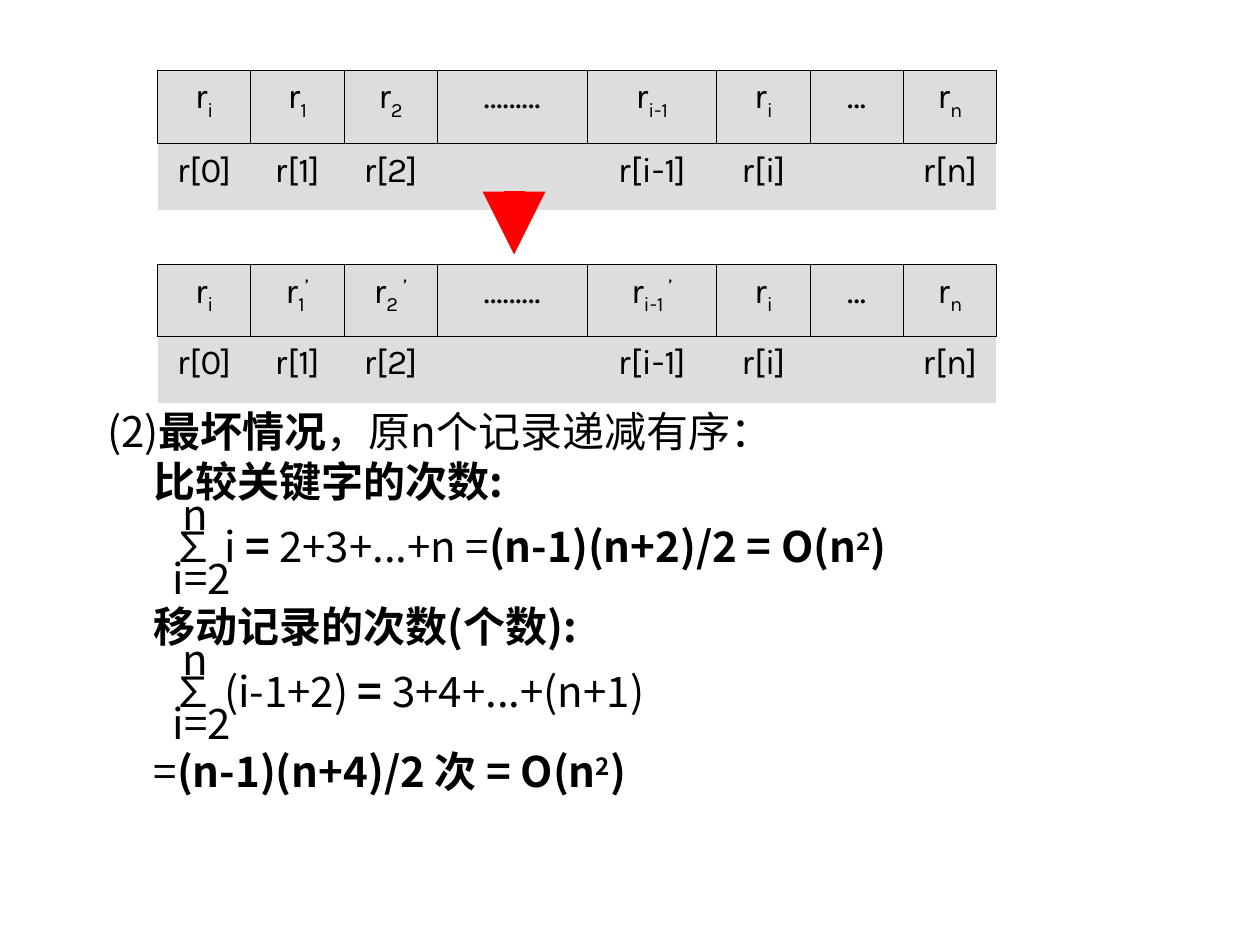
from dataclasses import dataclass

from lxml.etree import SubElement
from pptx import Presentation
from pptx.dml.color import RGBColor
from pptx.enum.shapes import MSO_CONNECTOR as Connector
from pptx.enum.text import MSO_ANCHOR as Anchor, MSO_AUTO_SIZE as AutoSize, PP_ALIGN as Align
from pptx.oxml.ns import qn
from pptx.util import Inches, Pt


@dataclass(frozen=True)
class Theme:
    ink: str = "000000"
    cell: str = "DDDDDD"
    arrow: str = "FF0000"
    body_font: str = "Noto Sans CJK SC"
    table_font: str = "Karla"
    body_size: int = 24
    table_size: int = 20
    thin: float = 0.45
    thick: float = 1.08
    plain_table: str = "{2D5ABB26-0587-4C30-8999-92F81FD0307C}"


class SlideBuilder:
    """Adds the styled elements of one slide."""

    def __init__(self, slide, theme):
        self.slide = slide
        self.theme = theme

    def run(self, paragraph, text, font, size, bold=False, baseline=0):
        run = paragraph.add_run()
        run.text = text
        run.font.size = Pt(size)
        run.font.bold = bold
        run.font.color.rgb = RGBColor.from_string(self.theme.ink)
        run.font.name = font
        properties = run.font._element
        SubElement(properties, qn("a:ea")).set("typeface", font)
        if baseline:
            properties.set("baseline", str(baseline * 1000))

    def body(self, left, top, width, height, lines):
        body = self.slide.placeholders[1]
        body.left, body.top = Inches(left), Inches(top)
        body.width, body.height = Inches(width), Inches(height)
        frame = body.text_frame
        frame.word_wrap = True
        frame.vertical_anchor = Anchor.TOP
        frame.auto_size = AutoSize.TEXT_TO_FIT_SHAPE
        for number, (indent, spacing, parts) in enumerate(lines):
            paragraph = frame.add_paragraph() if number else frame.paragraphs[0]
            properties = paragraph._p.get_or_add_pPr()
            properties.set("marL", str(Inches(indent)))
            properties.set("indent", "0")
            SubElement(properties, qn("a:buNone"))
            paragraph.line_spacing = spacing
            paragraph.space_before = Pt(0)
            for text, bold, baseline in parts:
                self.run(paragraph, text, self.theme.body_font, self.theme.body_size, bold, baseline)

    def border(self, cell, side, points):
        line = SubElement(cell._tc.get_or_add_tcPr(), qn(f"a:ln{side}"), w=str(Pt(points)))
        fill = SubElement(line, qn("a:solidFill"))
        SubElement(fill, qn("a:srgbClr"), val=self.theme.ink)

    def cell(self, cell, parts):
        cell.fill.solid()
        cell.fill.fore_color.rgb = RGBColor.from_string(self.theme.cell)
        paragraph = cell.text_frame.paragraphs[0]
        paragraph.alignment = Align.CENTER
        if parts:
            paragraph.space_before = Pt(5)
        for text, baseline in parts:
            self.run(paragraph, text, self.theme.table_font, self.theme.table_size, baseline=baseline)

    def array(self, left, top, widths, heights, rows, merged):
        frame = self.slide.shapes.add_table(
            len(rows), len(widths), Inches(left), Inches(top),
            Inches(sum(widths)), Inches(sum(heights)))
        table = frame.table
        table.first_row = table.horz_banding = False
        table._tbl.tblPr.find(qn("a:tableStyleId")).text = self.theme.plain_table
        for column, width in zip(table.columns, widths):
            column.width = Inches(width)
        for row, height in zip(table.rows, heights):
            row.height = Inches(height)
        first, last = merged
        table.cell(0, first).merge(table.cell(0, last))
        thin, thick = self.theme.thin, self.theme.thick
        end = len(widths) - 1
        for column in range(len(widths)):
            record = table.cell(0, column)
            self.border(record, "L", thin if column else thick)
            self.border(record, "R", thick if column == end else thin)
            self.border(record, "T", thick)
            self.border(record, "B", thin)
            for row, contents in enumerate(rows):
                self.cell(table.cell(row, column), contents[column])

    def arrow(self, start, end, points):
        arrow = self.slide.shapes.add_connector(
            Connector.STRAIGHT, *(Inches(value) for value in (*start, *end)))
        arrow.line.color.rgb = RGBColor.from_string(self.theme.arrow)
        arrow.line.width = Pt(points)
        SubElement(arrow.line._get_or_add_ln(), qn("a:tailEnd"), type="triangle")
        SubElement(arrow._element.spPr, qn("a:effectLst"))


def record(index, prime=False):
    """Return the parts of an indexed record symbol."""
    return [("r", 0), (index, -25)] + ([("’", 30)] if prime else [])


def plain(text):
    """Return a regular body part."""
    return text, False, 0


def bold(text):
    """Return a bold body part."""
    return text, True, 0


def summation(*term):
    """Return the three lines of a sum from i=2 to n."""
    return [
        (0.6, 0.7, [plain("n")]),
        (0.52, 0.7, [plain("∑ "), *term]),
        (0.52, 0.7, [plain("i=2")]),
    ]


def main():
    """Build the slide on the worst case of insertion sort."""
    deck = Presentation()
    deck.slide_width, deck.slide_height = Inches(10), Inches(7.5)
    slide = deck.slides.add_slide(deck.slide_layouts[1])
    title = slide.shapes.title._element
    title.getparent().remove(title)
    builder = SlideBuilder(slide, Theme())

    order = [bold(" = O(n"), ("2", True, 30), bold(")")]
    builder.body(0.75, 3.17, 8.08, 3.89, [
        (0, 1.1, [plain("(2)"), bold("最坏情况"), plain("，原n个记录递减有序：")]),
        (0.37, 1.1, [bold("比较关键字的次数:")]),
        *summation(plain("i "), bold("="), plain(" 2+3+...+n ="), bold("(n-1)(n+2)/2"), *order),
        (0.37, 1.1, [bold("移动记录的次数(个数):")]),
        *summation(plain("(i-1+2) "), bold("="), plain(" 3+4+...+(n+1)")),
        (0.37, 1.0, [plain("="), bold("(n-1)(n+4)/2 次"), *order]),
    ])

    widths = [0.74] * 4 + [0.45, 1.03] + [0.74] * 3
    positions = [[(f"r[{index}]", 0)] if index else []
                 for index in ("0", "1", "2", "", "", "i-1", "i", "", "n")]
    before = [record("1"), record("2"), record("i-1")]
    after = [record("1", True), record("2 ", True), record("i-1 ", True)]
    for top, heights, (one, two, previous) in (
            (0.56, (0.58, 0.53), before), (2.1, (0.57, 0.53), after)):
        records = [record("i"), one, two, [("………", 0)], [], previous,
                   record("i"), [("…", 0)], record("n")]
        builder.array(1.25, top, widths, heights, [records, positions], merged=(3, 4))
    builder.arrow((4.08, 1.52), (4.08, 2.02), 12)

    deck.save("out.pptx")


if __name__ == "__main__":
    main()
